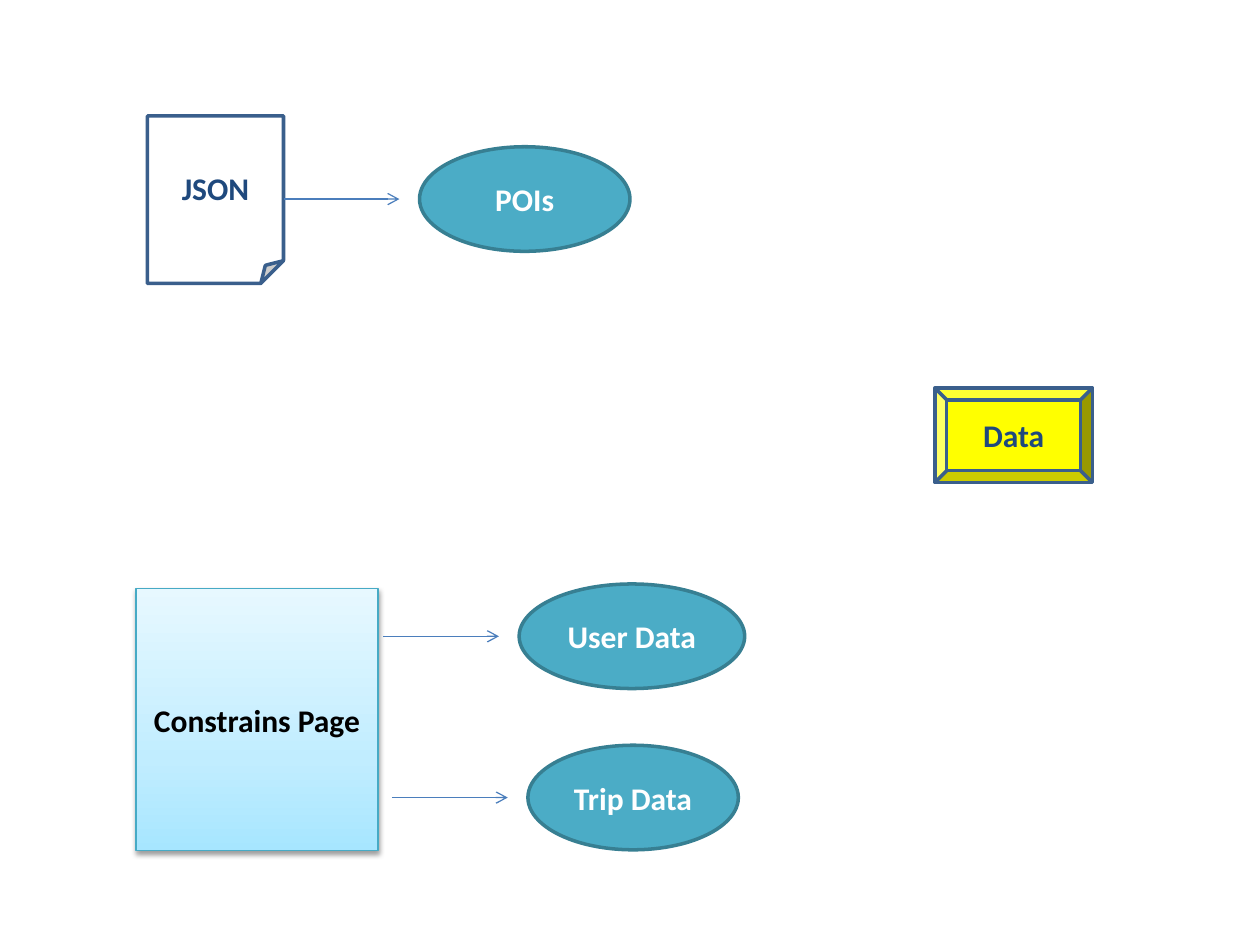
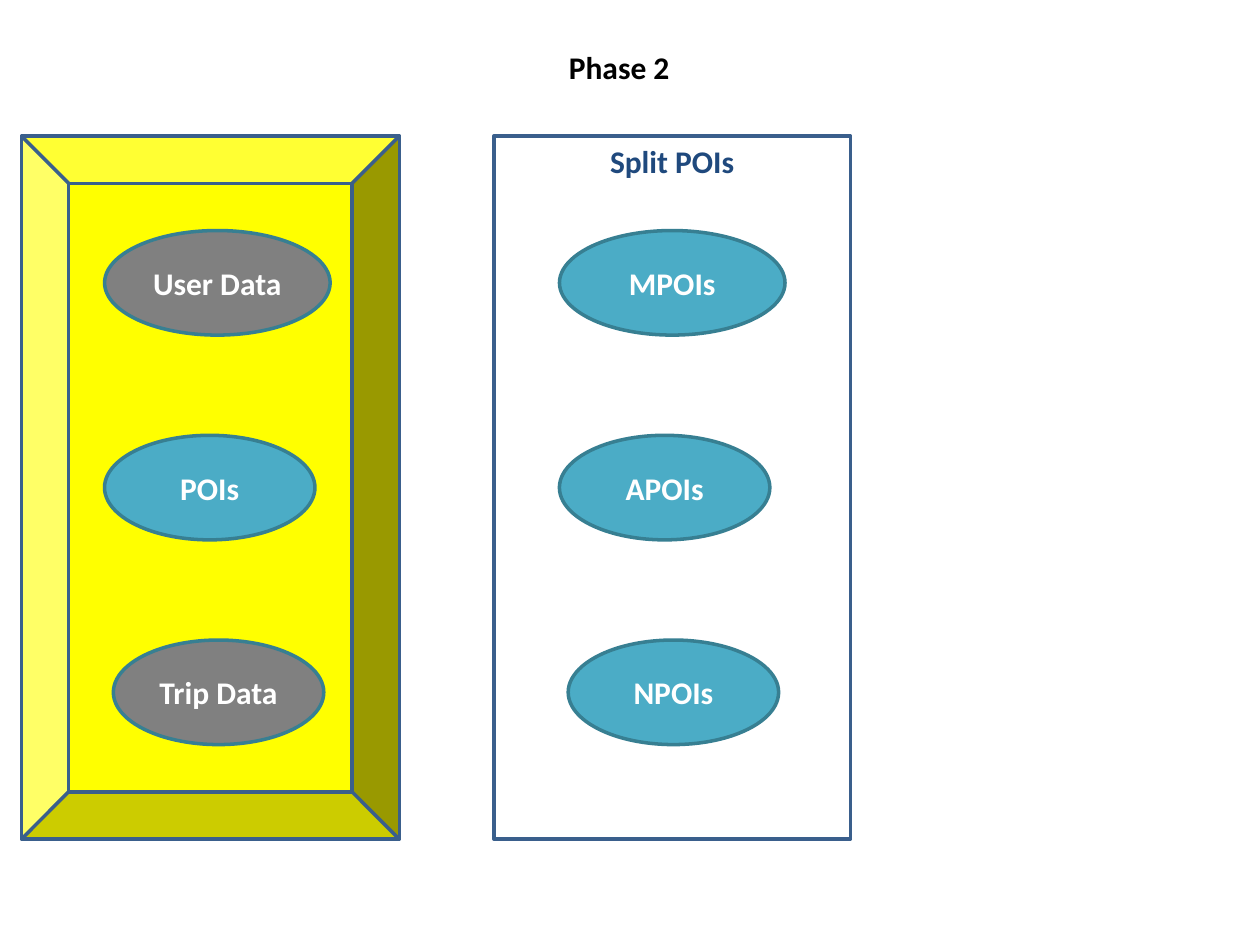
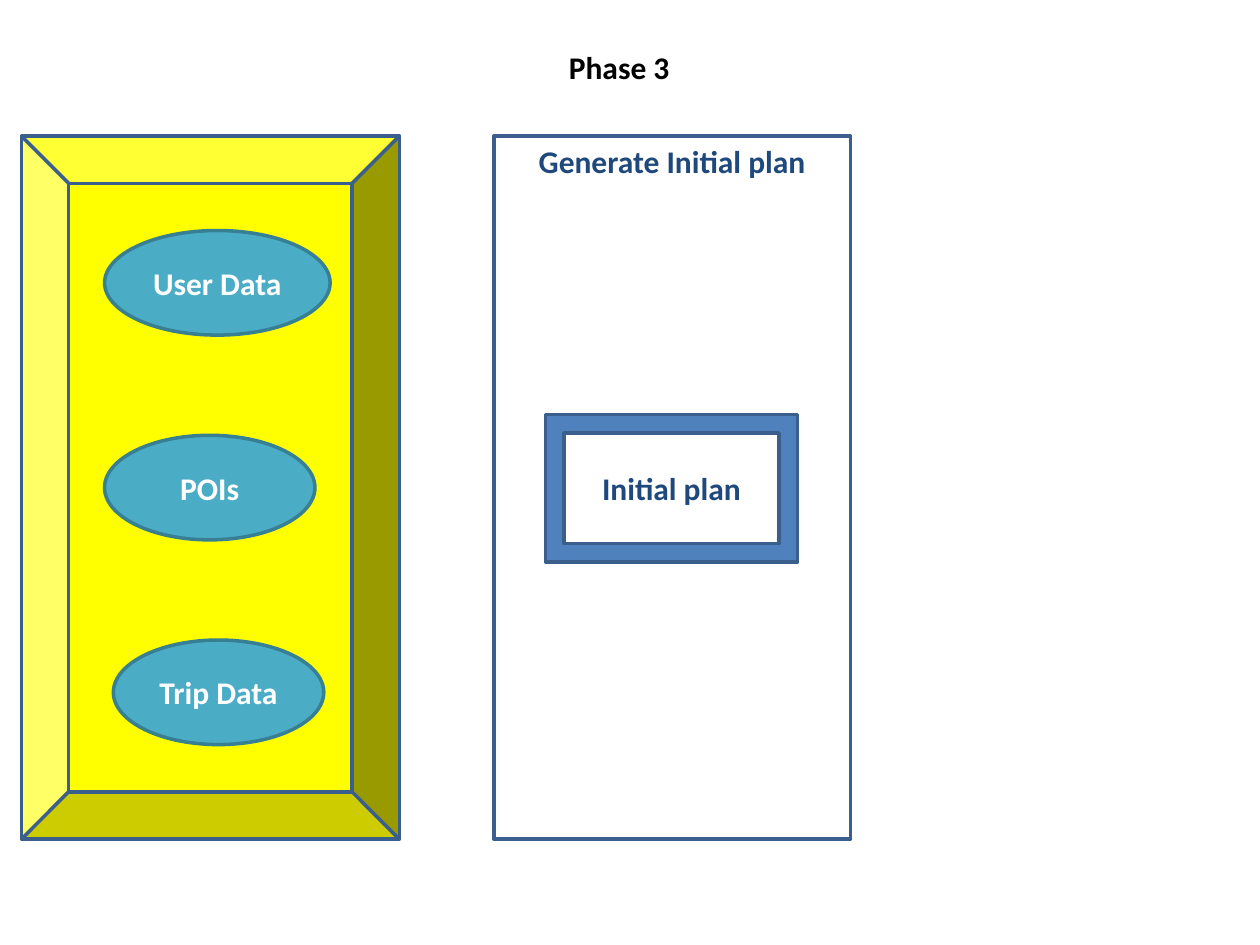
from dataclasses import dataclass
from typing import Optional

from lxml.etree import SubElement
from pptx import Presentation
from pptx.dml.color import RGBColor
from pptx.enum.dml import MSO_LINE
from pptx.enum.shapes import MSO_CONNECTOR, MSO_SHAPE
from pptx.enum.text import MSO_ANCHOR, MSO_AUTO_SIZE, PP_ALIGN
from pptx.oxml.ns import qn
from pptx.shapes.autoshape import Shape
from pptx.slide import Slide
from pptx.text.text import TextFrame
from pptx.util import Inches, Pt

BLACK = RGBColor(0x00, 0x00, 0x00)
WHITE = RGBColor(0xFF, 0xFF, 0xFF)
GRAY = RGBColor(0x80, 0x80, 0x80)
YELLOW = RGBColor(0xFF, 0xFF, 0x00)
NAVY = RGBColor(0x1F, 0x49, 0x7D)
BLUE = RGBColor(0x4F, 0x81, 0xBD)
BLUE_EDGE = RGBColor(0x3A, 0x5F, 0x8C)
ARROW_BLUE = RGBColor(0x4B, 0x7E, 0xBC)
TEAL = RGBColor(0x4B, 0xAC, 0xC6)
TEAL_EDGE = RGBColor(0x37, 0x7F, 0x92)
PAGE_EDGE = RGBColor(0x46, 0xAA, 0xC5)
PAGE_GRADIENT = (
    (0, RGBColor(0xA7, 0xE6, 0xFF)),
    (35, RGBColor(0xC1, 0xED, 0xFF)),
    (100, RGBColor(0xE7, 0xF8, 0xFF)),
)

FONT = "Calibri"
TITLE_ONLY, BLANK = 5, 6
OVAL_WIDTH, WIDE_OVAL_WIDTH, OVAL_HEIGHT = 1.67, 1.79, 0.83
ARROW_LENGTH = 0.92
PANEL_TOP, PANEL_HEIGHT = 1.08, 5.58
COLUMN_TOP, COLUMN_STEP = 1.83, 1.625
DATA_COLUMN_LEFT, SPLIT_COLUMN_LEFT = 0.83, 4.44
LAST_OVAL_INDENT = 0.07


@dataclass(frozen=True)
class Box:
    """A labelled preset shape, with its place in inches."""

    kind: MSO_SHAPE
    left: float
    top: float
    width: float
    height: float
    label: str = ""
    fill: RGBColor = WHITE
    edge: RGBColor = BLUE_EDGE
    edge_width: float = 2
    text_color: RGBColor = NAVY
    anchor: MSO_ANCHOR = MSO_ANCHOR.MIDDLE


@dataclass(frozen=True)
class ColumnOval:
    """One oval of a three-row column."""

    label: str
    fill: RGBColor = TEAL


def write_text(frame: TextFrame, text: str, *, color: RGBColor,
               anchor: MSO_ANCHOR = MSO_ANCHOR.MIDDLE, size: float = 18,
               bold: bool = True) -> None:
    """Write one centred paragraph in the deck's font."""
    frame.word_wrap = True
    frame.vertical_anchor = anchor
    para = frame.paragraphs[0]
    para.alignment = PP_ALIGN.CENTER
    span = para.add_run()
    span.text = text
    span.font.name = FONT
    span.font.size = Pt(size)
    span.font.bold = bold
    span.font.color.rgb = color


def draw_box(page: Slide, box: Box) -> Shape:
    """Draw a box and its label."""
    shape = page.shapes.add_shape(box.kind, Inches(box.left), Inches(box.top),
                                  Inches(box.width), Inches(box.height))
    shape.fill.solid()
    shape.fill.fore_color.rgb = box.fill
    shape.line.color.rgb = box.edge
    shape.line.width = Pt(box.edge_width)
    shape.shadow.inherit = False
    if box.label:
        write_text(shape.text_frame, box.label, color=box.text_color, anchor=box.anchor)
    return shape


def draw_oval(page: Slide, label: str, left: float, top: float,
              width: float = OVAL_WIDTH, fill: RGBColor = TEAL) -> None:
    """Draw a data oval with a white label."""
    draw_box(page, Box(MSO_SHAPE.OVAL, left, top, width, OVAL_HEIGHT, label,
                       fill=fill, edge=TEAL_EDGE, text_color=WHITE))


def draw_arrow(page: Slide, left: float, top: float) -> None:
    """Draw a thin arrow pointing right."""
    arrow = page.shapes.add_connector(MSO_CONNECTOR.STRAIGHT, Inches(left), Inches(top),
                                      Inches(left + ARROW_LENGTH), Inches(top))
    arrow.line.color.rgb = ARROW_BLUE
    arrow.line.width = Pt(0.75)
    arrow.line.dash_style = MSO_LINE.SOLID
    properties = arrow.element.spPr
    SubElement(properties.find(qn("a:ln")), qn("a:tailEnd"), type="arrow")
    SubElement(properties, qn("a:effectLst"))


def add_color(parent, color: RGBColor):
    """Add an RGB colour element to a drawing element."""
    return SubElement(parent, qn("a:srgbClr"), val=str(color))


def shade_page_box(shape: Shape) -> None:
    """Give a shape the pale gradient and the soft shadow below it."""
    shape.fill.gradient()
    shape.fill.gradient_angle = 90
    properties = shape.element.spPr
    stops = properties.find(qn("a:gradFill")).find(qn("a:gsLst"))
    for stop in list(stops):
        stops.remove(stop)
    for position, color in PAGE_GRADIENT:
        add_color(SubElement(stops, qn("a:gs"), pos=str(position * 1000)), color)
    shadow = SubElement(properties.find(qn("a:effectLst")), qn("a:outerShdw"),
                        blurRad=str(Pt(3.1)), dist=str(Pt(1.6)), dir="5400000",
                        rotWithShape="0")
    SubElement(add_color(shadow, BLACK), qn("a:alpha"), val="38000")


def draw_column(page: Slide, left: float, ovals: tuple[ColumnOval, ...]) -> None:
    """Draw a column of ovals: a wide one first, the last one indented."""
    for row, oval in enumerate(ovals):
        draw_oval(page, oval.label,
                  left + (LAST_OVAL_INDENT if row == len(ovals) - 1 else 0),
                  COLUMN_TOP + row * COLUMN_STEP,
                  WIDE_OVAL_WIDTH if row == 0 else OVAL_WIDTH, oval.fill)


def add_phase_page(deck: Presentation, title: str, step: str,
                   side_fill: Optional[RGBColor] = TEAL) -> Slide:
    """Add a phase page: title, data panel and an empty step panel."""
    page = deck.slides.add_slide(deck.slide_layouts[TITLE_ONLY])
    heading = page.shapes.title
    heading.left, heading.top = Inches(3.75), Inches(0.33)
    heading.width, heading.height = Inches(2.33), Inches(0.4)
    write_text(heading.text_frame, title, color=BLACK, anchor=MSO_ANCHOR.TOP)
    heading.text_frame.auto_size = MSO_AUTO_SIZE.SHAPE_TO_FIT_TEXT

    draw_box(page, Box(MSO_SHAPE.BEVEL, 0.17, PANEL_TOP, 3, PANEL_HEIGHT, fill=YELLOW))
    draw_column(page, DATA_COLUMN_LEFT, (ColumnOval("User Data", side_fill),
                                         ColumnOval("POIs"),
                                         ColumnOval("Trip Data", side_fill)))
    draw_box(page, Box(MSO_SHAPE.RECTANGLE, 3.92, PANEL_TOP, 2.83, PANEL_HEIGHT, step,
                       anchor=MSO_ANCHOR.TOP))
    return page


def add_input_page(deck: Presentation) -> None:
    """Add the page that shows where the data comes from."""
    page = deck.slides.add_slide(deck.slide_layouts[BLANK])
    constraints = draw_box(page, Box(MSO_SHAPE.FLOWCHART_PROCESS, 1.08, 4.67, 1.92, 2.08,
                                     "Constrains Page", edge=PAGE_EDGE, edge_width=0.75,
                                     text_color=BLACK))
    shade_page_box(constraints)
    draw_box(page, Box(MSO_SHAPE.FOLDED_CORNER, 1.17, 0.92, 1.08, 1.33, "JSON"))
    draw_box(page, Box(MSO_SHAPE.BEVEL, 7.42, 3.08, 1.25, 0.75, "Data", fill=YELLOW))
    for label, arrow_left, oval_left, middle, width in (
        ("POIs", 2.25, 3.33, 1.58, OVAL_WIDTH),
        ("User Data", 3.04, 4.12, 5.05, WIDE_OVAL_WIDTH),
        ("Trip Data", 3.11, 4.19, 6.33, OVAL_WIDTH),
    ):
        draw_arrow(page, arrow_left, middle)
        draw_oval(page, label, oval_left, middle - OVAL_HEIGHT / 2, width)


def main() -> None:
    """Build and save the deck."""
    deck = Presentation()
    deck.slide_width, deck.slide_height = Inches(10), Inches(7.5)

    add_input_page(deck)

    split_page = add_phase_page(deck, "Phase 2", "Split POIs", side_fill=GRAY)
    draw_column(split_page, SPLIT_COLUMN_LEFT,
                tuple(ColumnOval(label) for label in ("MPOIs", "APOIs", "NPOIs")))

    plan_page = add_phase_page(deck, "Phase 3", "Generate Initial plan")
    draw_box(plan_page, Box(MSO_SHAPE.FRAME, 4.33, 3.29, 2, 1.17, "Initial plan", fill=BLUE))

    deck.save("out.pptx")


main()
